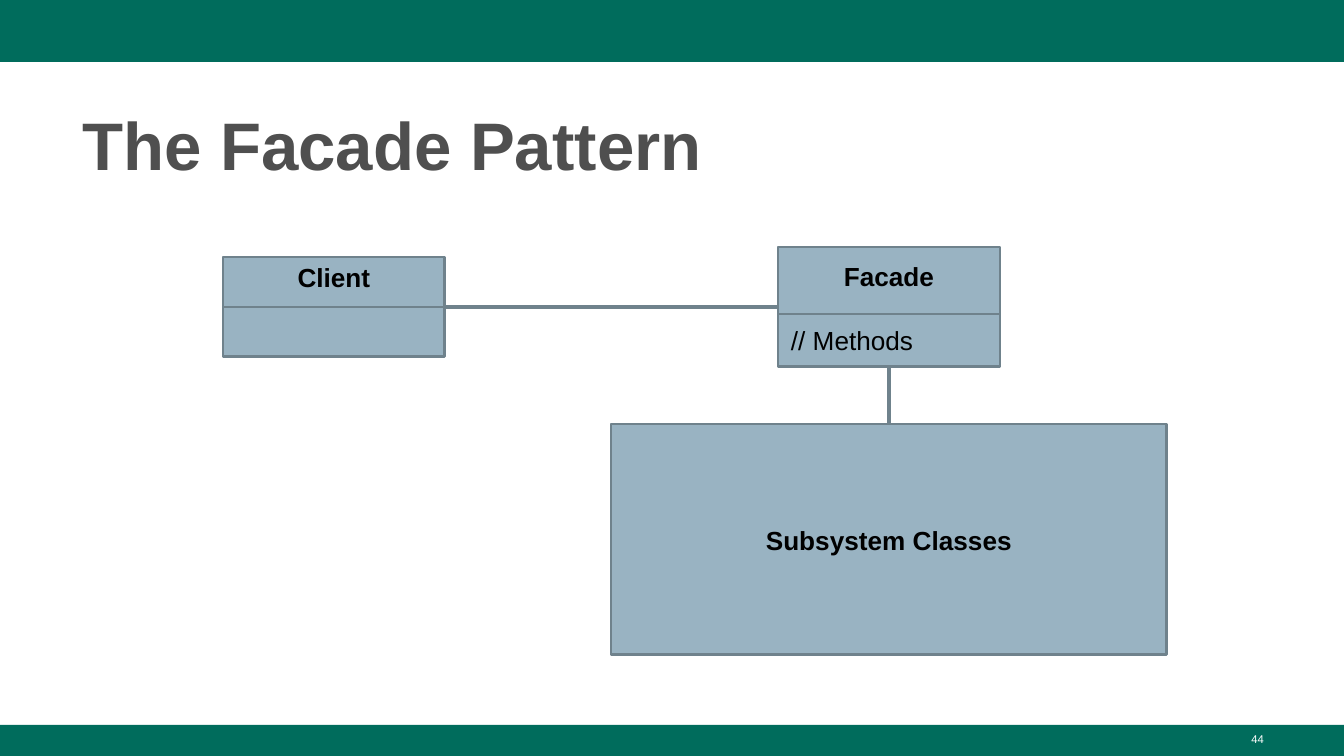
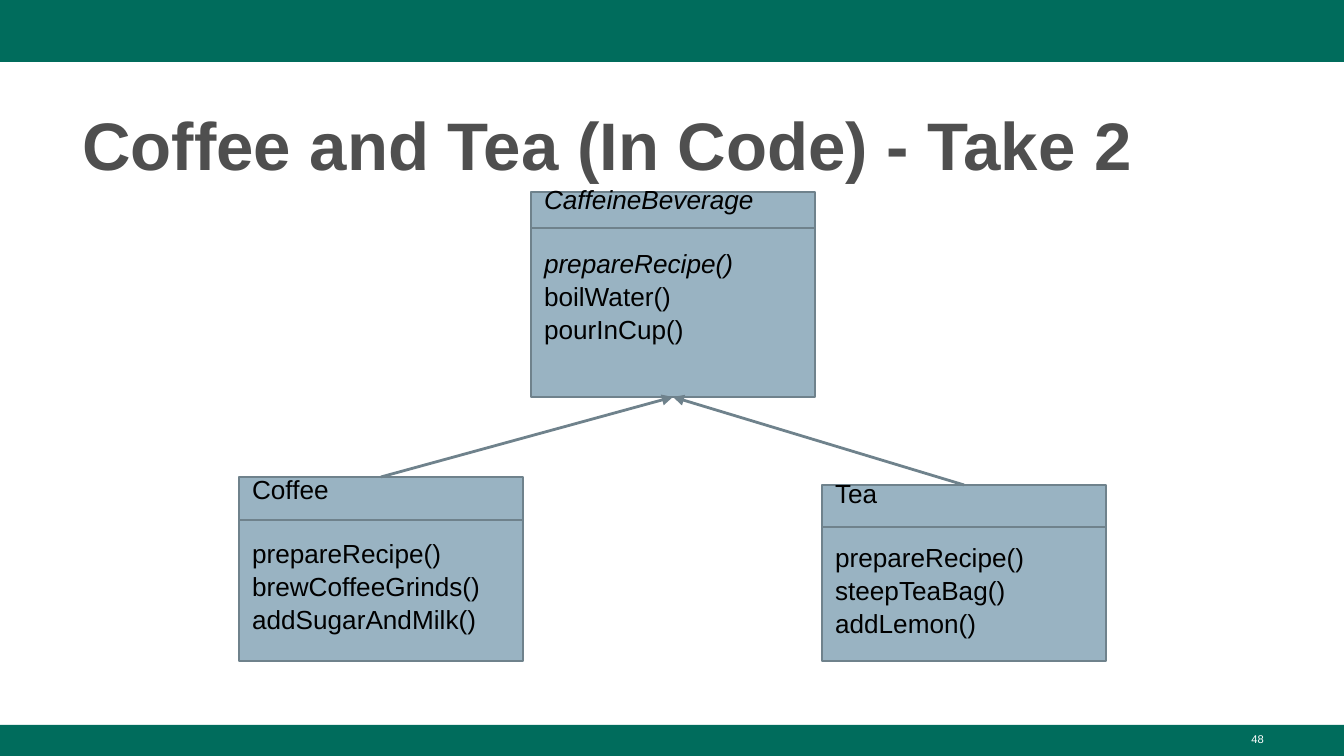
from dataclasses import dataclass
from typing import Optional

from lxml.etree import SubElement
from pptx import Presentation
from pptx.dml.color import RGBColor
from pptx.enum.shapes import MSO_CONNECTOR, MSO_SHAPE
from pptx.enum.text import MSO_ANCHOR, PP_ALIGN
from pptx.oxml.ns import qn
from pptx.shapes.autoshape import Shape
from pptx.shapes.connector import Connector
from pptx.slide import Slide
from pptx.util import Emu, Pt

WIDE, HIGH = 1344, 756
SCALE = 9144000 / WIDE
FONT = "Arial"
INK = {
    "band": "006C5C",
    "title": "4F4F4F",
    "fill": "99B3C2",
    "line": "6F828C",
    "text": "000000",
    "page": "FFFFFF",
}
TOP, LEFT, BOTTOM, RIGHT = range(4)
ROW = 31
PAD = 13


@dataclass(frozen=True)
class Row:
    text: str
    bold: bool = False
    slant: bool = False
    align: PP_ALIGN = PP_ALIGN.LEFT
    gap: bool = False


@dataclass(frozen=True)
class Box:
    x: int
    y: int
    w: int
    h: int
    rows: tuple[Row, ...]
    split: Optional[int] = None
    spare: int = 0
    edge: float = 1.5


@dataclass(frozen=True)
class Link:
    start: int
    out: int
    end: int
    into: int
    edge: float
    arrow: bool = False


@dataclass(frozen=True)
class Page:
    title: str
    number: int
    boxes: tuple[Box, ...]
    links: tuple[Link, ...]


def px(size: float) -> Emu:
    return Emu(round(size * SCALE))


def color(name: str) -> RGBColor:
    return RGBColor.from_string(INK[name])


def draw_band(slide: Slide, y: int, h: int) -> None:
    band = slide.shapes.add_shape(MSO_SHAPE.RECTANGLE, 0, px(y), px(WIDE), px(h))
    band.shadow.inherit = False
    band.fill.solid()
    band.fill.fore_color.rgb = color("band")
    band.line.fill.background()


def draw_text(slide: Slide, text: str, x: int, y: int, w: int, h: int,
              size: int, ink: str, bold: bool = False,
              align: PP_ALIGN = PP_ALIGN.LEFT, space: float = 1.0) -> None:
    frame = slide.shapes.add_textbox(px(x), px(y), px(w), px(h)).text_frame
    frame.word_wrap = True
    frame.text = text
    para = frame.paragraphs[0]
    para.alignment = align
    para.line_spacing = space
    font = para.runs[0].font
    font.name, font.size, font.bold = FONT, Pt(size), bold
    font.color.rgb = color(ink)


def draw_line(slide: Slide, x: int, y: int, right: int, low: int,
              edge: float) -> Connector:
    line = slide.shapes.add_connector(
        MSO_CONNECTOR.STRAIGHT, px(x), px(y), px(right), px(low))
    line.line.color.rgb = color("line")
    line.line.width = Pt(edge)
    SubElement(line._element.spPr, qn("a:effectLst"))
    return line


def draw_box(slide: Slide, box: Box) -> Shape:
    shape = slide.shapes.add_shape(
        MSO_SHAPE.RECTANGLE, px(box.x), px(box.y), px(box.w), px(box.h))
    shape.shadow.inherit = False
    shape.fill.solid()
    shape.fill.fore_color.rgb = color("fill")
    shape.line.color.rgb = color("line")
    shape.line.width = Pt(box.edge)
    frame = shape.text_frame
    frame.word_wrap = True
    frame.vertical_anchor = MSO_ANCHOR.MIDDLE
    frame.margin_left = frame.margin_right = frame.margin_top = px(PAD)
    frame.margin_bottom = px(PAD + box.spare * ROW)
    frame.text = "\n".join(row.text for row in box.rows)
    for para, row in zip(frame.paragraphs, box.rows):
        para.alignment = row.align
        para.line_spacing = 1.05
        if row.gap:
            para.space_before = px(ROW)
        font = para.runs[0].font
        font.name, font.size = FONT, Pt(14)
        font.bold, font.italic = row.bold, row.slant
        font.color.rgb = color("text")
    if box.split is not None:
        y = box.y + box.split
        line = draw_line(slide, box.x, y, box.x + box.w, y, box.edge)
        if box.split * 2 == box.h:
            line.begin_connect(shape, LEFT)
            line.end_connect(shape, RIGHT)
    return shape


def draw_link(slide: Slide, link: Link, shapes: list[Shape]) -> None:
    line = draw_line(slide, 0, 0, 0, 0, link.edge)
    line.begin_connect(shapes[link.start], link.out)
    line.end_connect(shapes[link.end], link.into)
    if link.arrow:
        SubElement(line.line._get_or_add_ln(), qn("a:tailEnd"), type="triangle")


def draw_page(slide: Slide, page: Page) -> None:
    draw_band(slide, 0, 62)
    draw_band(slide, 725, 31)
    draw_text(slide, page.title, 69, 90, 1208, 98, 36, "title", True, space=1.08)
    shapes = [draw_box(slide, box) for box in page.boxes]
    for link in page.links:
        draw_link(slide, link, shapes)
    draw_text(slide, str(page.number), 964, 726, 313, 30, 6, "page",
              align=PP_ALIGN.RIGHT)


def head(text: str) -> Row:
    return Row(text, bold=True, align=PP_ALIGN.CENTER)


def kind(x: int, y: int, h: int, split: int, name: str, calls: list[str],
         base: bool = False) -> Box:
    first, *rest = calls
    rows = (Row(name, slant=base), Row(first, slant=base, gap=True),
            *map(Row, rest))
    return Box(x, y, 284, h, rows, split, 2 if base else 1, 0.75)


PAGES = (
    Page(
        "The Facade Pattern", 44,
        (
            Box(223, 257, 222, 100, (head("Client"),), 50, 2),
            Box(778, 247, 222, 120,
                (head("Facade"), Row("// Methods", gap=True)), 67),
            Box(611, 424, 556, 231, (head("Subsystem Classes"),)),
        ),
        (Link(0, RIGHT, 1, LEFT, 2.25), Link(2, TOP, 1, BOTTOM, 2.25)),
    ),
    Page(
        "Coffee and Tea (In Code) - Take 2", 48,
        (
            kind(239, 477, 184, 43, "Coffee",
                 ["prepareRecipe()", "brewCoffeeGrinds()", "addSugarAndMilk()"]),
            kind(822, 485, 176, 42, "Tea",
                 ["prepareRecipe()", "steepTeaBag()", "addLemon()"]),
            kind(531, 192, 205, 36, "CaffeineBeverage",
                 ["prepareRecipe()", "boilWater()", "pourInCup()"], True),
        ),
        tuple(Link(leaf, TOP, 2, BOTTOM, 1.5, True) for leaf in (0, 1)),
    ),
)


def main() -> None:
    deck = Presentation()
    deck.slide_width, deck.slide_height = px(WIDE), px(HIGH)
    for page in PAGES:
        draw_page(deck.slides.add_slide(deck.slide_layouts[6]), page)
    deck.save("out.pptx")


if __name__ == "__main__":
    main()
